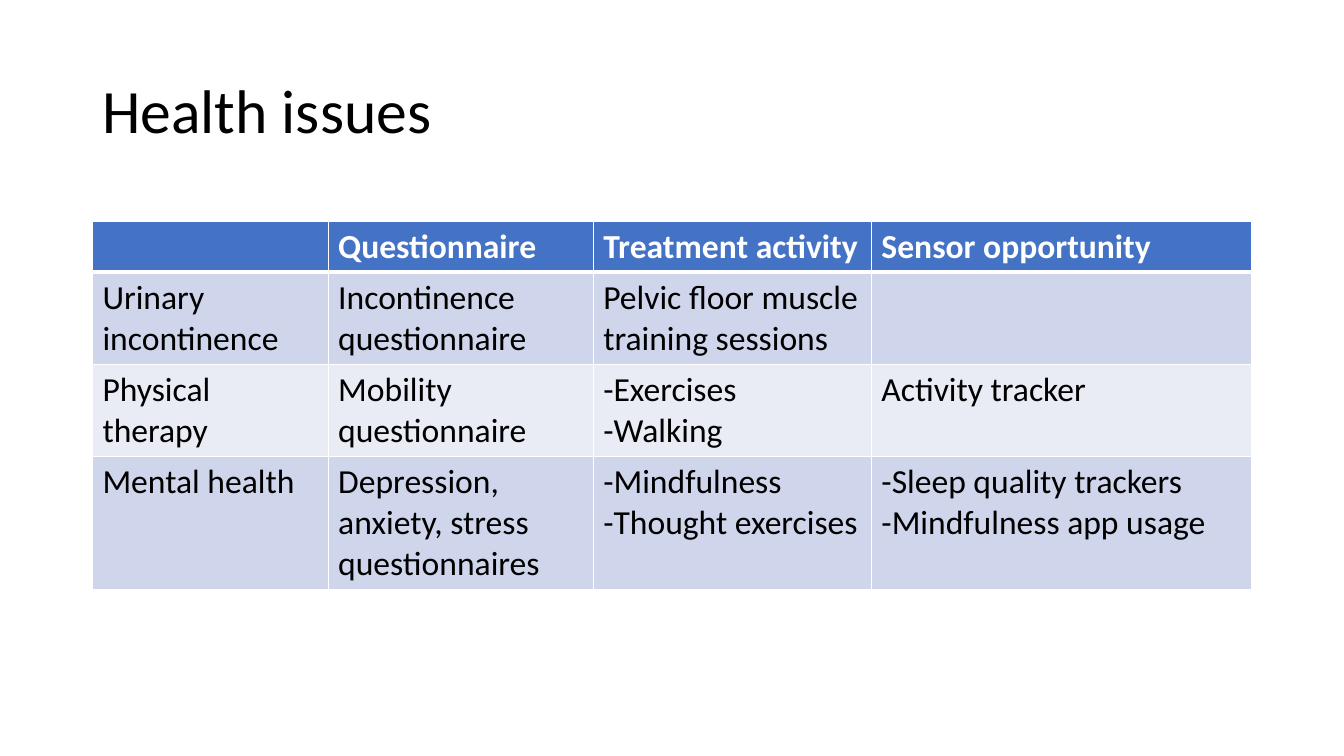
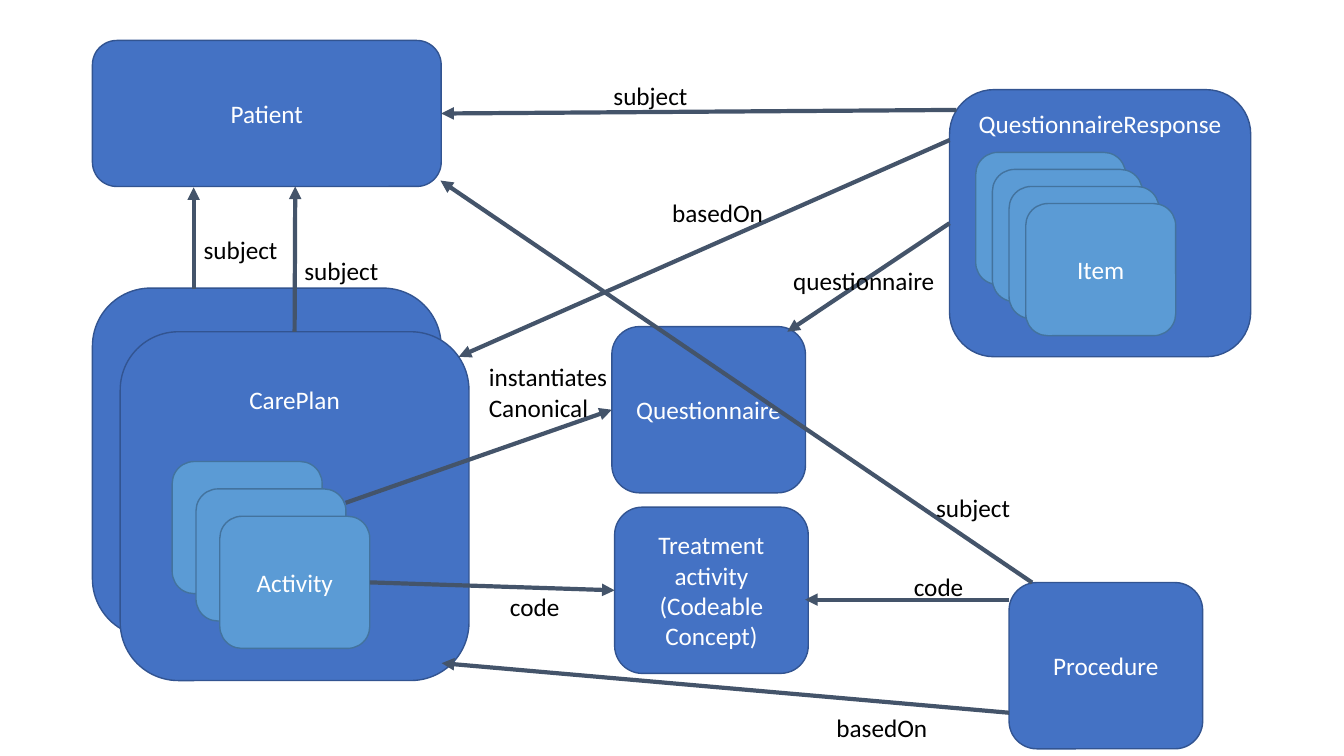
from dataclasses import dataclass
from typing import Any, NamedTuple

from lxml import etree
from pptx import Presentation
from pptx.dml.color import RGBColor
from pptx.enum import shapes, text
from pptx.oxml import ns
from pptx.util import Cm, Pt


@dataclass(frozen=True)
class Theme:
    font: str = "Calibri"
    title_size: int = 44
    table_size: int = 24
    diagram_size: int = 18
    ink: str = "000000"
    paper: str = "FFFFFF"
    box_fill: str = "4472C4"
    box_edge: str = "325491"
    card_fill: str = "5B9BD5"
    card_edge: str = "43739E"
    arrow: str = "44546A"
    bands: tuple = ("CFD5EA", "E9EBF5")


THEME = Theme()
TOP, LEFT, RIGHT = 0, 1, 3  # connection sites of a rectangle
MARGIN = 2.33
CARD = (3.78, 3.33)
CONCEPT = (4.88, 4.19)
PLAN = (8.79, 8.79)
LABEL_WIDTHS = {"subject": 2.6, "code": 2, "basedOn": 3,
                "questionnaire": 4.1, "instantiatesCanonical": 3.61}

ISSUES = [
    ["", "Questionnaire", "Treatment activity", "Sensor opportunity"],
    ["Urinary incontinence", "Incontinence questionnaire",
     "Pelvic floor muscle training sessions", ""],
    ["Physical therapy", "Mobility questionnaire",
     "-Exercises\n-Walking", "Activity tracker"],
    ["Mental health", "Depression, anxiety, stress questionnaires",
     "-Mindfulness\n-Thought exercises",
     "-Sleep quality trackers\n-Mindfulness app usage"],
]


class Joint(NamedTuple):
    """The middle of one side of a shape."""
    shape: Any
    site: int


def rgb(value):
    return RGBColor.from_string(value)


def cm(*lengths):
    return [Cm(length) for length in lengths]


def write(frame, words, size, color, bold=False, align=text.PP_ALIGN.LEFT):
    frame.word_wrap = True
    frame.text = words
    for paragraph in frame.paragraphs:
        paragraph.alignment = align
        font = paragraph.font
        font.name, font.size, font.bold = THEME.font, Pt(size), bold
        font.color.rgb = rgb(color)


def add_title(slide, words):
    frame = slide.shapes.add_textbox(*cm(MARGIN, 1.02, 29.21, 3.68)).text_frame
    write(frame, words, THEME.title_size, THEME.ink)
    frame.vertical_anchor = text.MSO_ANCHOR.MIDDLE
    frame.paragraphs[0].line_spacing = 0.9


def set_borders(cell, **widths):
    """Draw the given sides (L, R, T, B) in the paper colour; call before filling."""
    properties = cell._tc.get_or_add_tcPr()
    for side, width in widths.items():
        line = etree.SubElement(properties, ns.qn(f"a:ln{side}"), w=str(Pt(width)))
        fill = etree.SubElement(line, ns.qn("a:solidFill"))
        etree.SubElement(fill, ns.qn("a:srgbClr"), val=THEME.paper)


def add_issue_table(slide):
    widths, heights = cm(5.94, 6.68, 7.01, 9.58), cm(1.27, 2.32, 2.32, 3.35)
    table = slide.shapes.add_table(
        len(heights), len(widths), *cm(MARGIN, 5.59), sum(widths), sum(heights)).table
    for column, width in zip(table.columns, widths):
        column.width = width
    for index, (row, height, entries) in enumerate(zip(table.rows, heights, ISSUES)):
        row.height = height
        header = index == 0
        for cell, words in zip(row.cells, entries):
            set_borders(cell, L=1, R=1, T=3 if index == 1 else 1, B=3 if header else 1)
            cell.fill.solid()
            cell.fill.fore_color.rgb = rgb(
                THEME.box_fill if header else THEME.bands[(index - 1) % 2])
            write(cell.text_frame, words, THEME.table_size,
                  THEME.paper if header else THEME.ink, bold=header)


def add_box(slide, left, top, size, words="", fill=THEME.box_fill,
            edge=THEME.box_edge, inset=None):
    """Add a rounded box; an inset puts its words that far below the top."""
    box = slide.shapes.add_shape(
        shapes.MSO_SHAPE.ROUNDED_RECTANGLE, *cm(left, top, *size))
    box.shadow.inherit = False
    box.fill.solid()
    box.fill.fore_color.rgb = rgb(fill)
    box.line.color.rgb = rgb(edge)
    box.line.width = Pt(1)
    frame = box.text_frame
    write(frame, words, THEME.diagram_size, THEME.paper, align=text.PP_ALIGN.CENTER)
    frame.vertical_anchor = text.MSO_ANCHOR.MIDDLE
    if inset is not None:
        frame.vertical_anchor = text.MSO_ANCHOR.TOP
        frame.margin_top = Cm(inset)
    return box


def add_card_stack(slide, left, top, step, count, words):
    """Stack overlapping cards and return the front one, which has the words."""
    for index in range(count):
        card = add_box(slide, left + index * step[0], top + index * step[1], CARD,
                       words if index == count - 1 else "",
                       THEME.card_fill, THEME.card_edge)
    return card


def add_arrow(slide, start, end):
    """Point from start to end, each a Joint or an (x, y) in centimetres."""
    points = [(0, 0) if isinstance(point, Joint) else point for point in (start, end)]
    arrow = slide.shapes.add_connector(
        shapes.MSO_CONNECTOR.STRAIGHT, *cm(*points[0], *points[1]))
    if isinstance(start, Joint):
        arrow.begin_connect(*start)
    if isinstance(end, Joint):
        arrow.end_connect(*end)
    arrow.line.color.rgb = rgb(THEME.arrow)
    arrow.line.width = Pt(3)
    etree.SubElement(arrow.line._get_or_add_ln(), ns.qn("a:tailEnd"), type="triangle")
    etree.SubElement(arrow._element.spPr, ns.qn("a:effectLst"))


def add_label(slide, words, left, top):
    label = slide.shapes.add_textbox(*cm(left, top, LABEL_WIDTHS[words], 1.02))
    write(label.text_frame, words, THEME.diagram_size, THEME.ink)


def build_issues(slide):
    add_title(slide, "Health issues")
    add_issue_table(slide)


def build_resources(slide):
    add_box(slide, MARGIN, 7.26, PLAN)
    patient = add_box(slide, MARGIN, 1.02, (8.79, 3.68), "Patient")
    care_plan = add_box(slide, 3.03, 8.36, PLAN, "CarePlan", inset=0.9)
    activity = add_card_stack(slide, 4.34, 11.63, (0.6, 0.69), 3, "Activity")
    treatment = add_box(slide, 15.49, 12.78, CONCEPT,
                        "Treatment activity (Codeable Concept)")
    questionnaire = add_box(slide, 15.42, 8.23, CONCEPT, "Questionnaire")
    response = add_box(slide, 23.93, 2.26, (7.59, 6.73),
                       "QuestionnaireResponse", inset=0.13)
    add_card_stack(slide, 24.59, 3.84, (0.42, 0.43), 4, "Item")
    add_box(slide, 25.43, 14.68, CONCEPT, "Procedure")

    for start, end in [
        ((4.88, 7.29), (4.88, 4.72)),
        (Joint(care_plan, TOP), (7.44, 4.7)),
        (Joint(activity, RIGHT), Joint(treatment, LEFT)),
        ((8.71, 12.67), Joint(questionnaire, LEFT)),
        (Joint(response, LEFT), (19.84, 8.36)),
        ((23.93, 3.53), (11.56, 8.99)),
        ((24.1, 2.77), Joint(patient, RIGHT)),
        ((25.43, 17.96), (11.13, 16.71)),
        ((25.43, 15.11), (20.29, 15.11)),
        ((26.01, 14.68), (11.1, 4.55)),
    ]:
        add_arrow(slide, start, end)

    for words, left, top in [
        ("subject", 4.88, 5.79),
        ("subject", 7.42, 6.3),
        ("subject", 15.21, 1.91),
        ("subject", 23.34, 12.27),
        ("code", 12.6, 14.78),
        ("code", 22.78, 14.27),
        ("basedOn", 16.69, 4.85),
        ("basedOn", 20.83, 17.83),
        ("questionnaire", 19.74, 6.55),
        ("instantiatesCanonical", 12.07, 8.99),
    ]:
        add_label(slide, words, left, top)


def main():
    deck = Presentation()
    deck.slide_width, deck.slide_height = cm(33.87, 19.05)
    for build in (build_issues, build_resources):
        build(deck.slides.add_slide(deck.slide_layouts[6]))
    deck.save("out.pptx")


if __name__ == "__main__":
    main()
